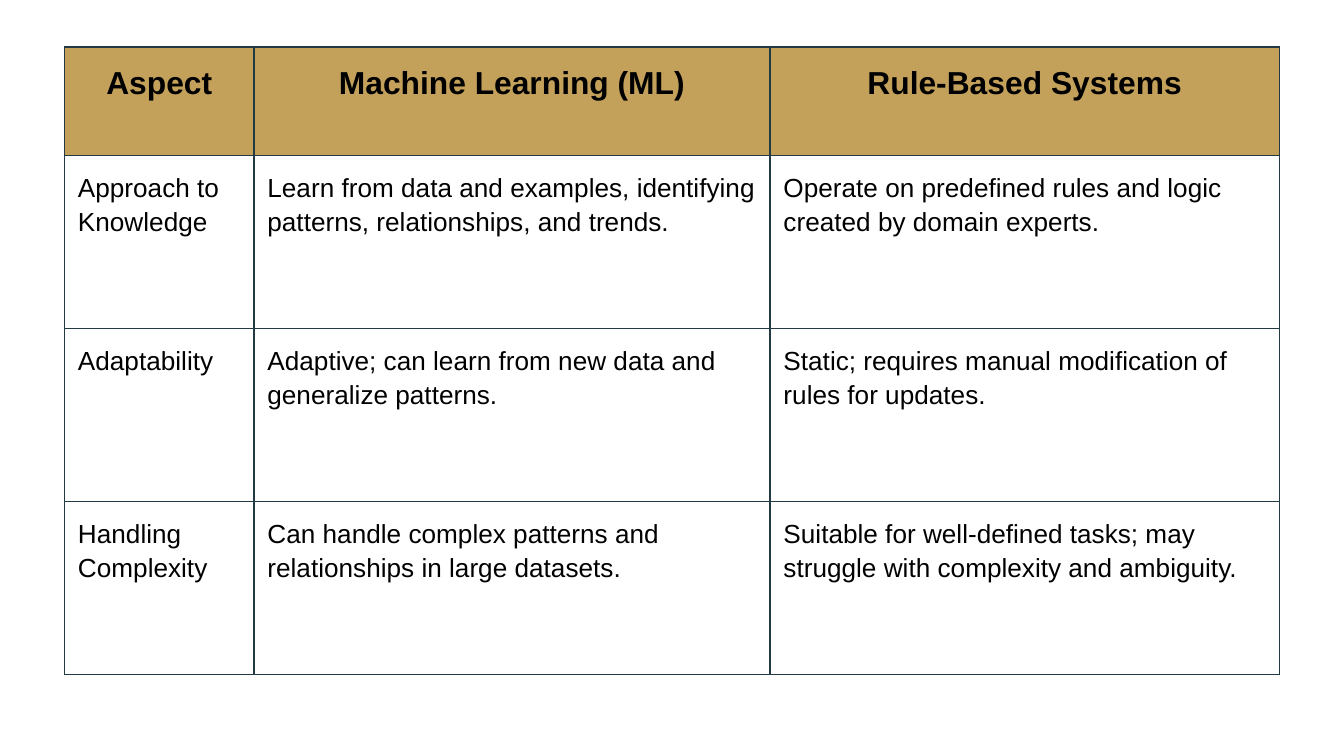
from dataclasses import dataclass

from lxml import etree
from pptx import Presentation
from pptx.dml.color import RGBColor
from pptx.enum import text as text_enum
from pptx.oxml import ns
from pptx.util import Inches, Pt


@dataclass(frozen=True)
class Theme:
    font: str = "Arial"
    text: str = "000000"
    header_fill: str = "C4A15A"
    border: str = "233A44"
    border_width: float = 0.75
    header_size: int = 17
    body_size: int = 14
    line_spacing: float = 1.15
    margin: float = 0.1


THEME = Theme()

ROWS = [
    ("Aspect", "Machine Learning (ML)", "Rule-Based Systems"),
    ("Approach to Knowledge",
     "Learn from data and examples, identifying patterns, relationships, and trends.",
     "Operate on predefined rules and logic created by domain experts."),
    ("Adaptability",
     "Adaptive; can learn from new data and generalize patterns.",
     "Static; requires manual modification of rules for updates."),
    ("Handling Complexity",
     "Can handle complex patterns and relationships in large datasets.",
     "Suitable for well-defined tasks; may struggle with complexity and ambiguity."),
]


def write_text(frame, content, size, bold=False, align=text_enum.PP_ALIGN.LEFT):
    paragraph = frame.paragraphs[0]
    paragraph.alignment = align
    paragraph.line_spacing = THEME.line_spacing
    run = paragraph.add_run()
    run.text = content
    run.font.name = THEME.font
    run.font.size = Pt(size)
    run.font.bold = bold
    run.font.color.rgb = RGBColor.from_string(THEME.text)


def set_borders(cell):
    """Outline all four sides; border lines must precede the cell fill."""
    properties = cell._tc.get_or_add_tcPr()
    for index, side in enumerate(("lnL", "lnR", "lnT", "lnB")):
        line = etree.Element(ns.qn(f"a:{side}"), w=str(Pt(THEME.border_width)))
        fill = etree.SubElement(line, ns.qn("a:solidFill"))
        etree.SubElement(fill, ns.qn("a:srgbClr"), val=THEME.border)
        properties.insert(index, line)


def format_cell(cell, content, is_header):
    cell.margin_left = cell.margin_right = Inches(THEME.margin)
    cell.margin_top = cell.margin_bottom = Inches(THEME.margin)
    cell.vertical_anchor = text_enum.MSO_ANCHOR.TOP
    if is_header:
        cell.fill.solid()
        cell.fill.fore_color.rgb = RGBColor.from_string(THEME.header_fill)
        write_text(cell.text_frame, content, THEME.header_size, bold=True,
                   align=text_enum.PP_ALIGN.CENTER)
    else:
        cell.fill.background()
        write_text(cell.text_frame, content, THEME.body_size)
    set_borders(cell)


def add_comparison_table(slide, left, top, width, height):
    """Header row of fixed height; body rows share the rest equally."""
    shape = slide.shapes.add_table(len(ROWS), len(ROWS[0]), Inches(left),
                                   Inches(top), Inches(width), Inches(height))
    table = shape.table
    table.horz_banding = False

    # Column widths and row heights
    aspect_width, learning_width = 1.41, 3.84
    widths = (aspect_width, learning_width, width - aspect_width - learning_width)
    for column, column_width in zip(table.columns, widths):
        column.width = Inches(column_width)
    header_height = 0.81
    body_height = (height - header_height) / (len(ROWS) - 1)
    for index, row in enumerate(table.rows):
        row.height = Inches(body_height if index else header_height)

    # Cell contents
    for row_index, row in enumerate(ROWS):
        for column_index, content in enumerate(row):
            format_cell(table.cell(row_index, column_index), content, row_index == 0)


def main():
    presentation = Presentation()
    # Widescreen page, 16:9
    presentation.slide_width = Inches(10)
    presentation.slide_height = Inches(10 * 9 / 16)
    slide = presentation.slides.add_slide(presentation.slide_layouts[6])
    add_comparison_table(slide, left=0.48, top=0.35, width=9.04, height=4.67)
    presentation.save("out.pptx")


if __name__ == "__main__":
    main()
